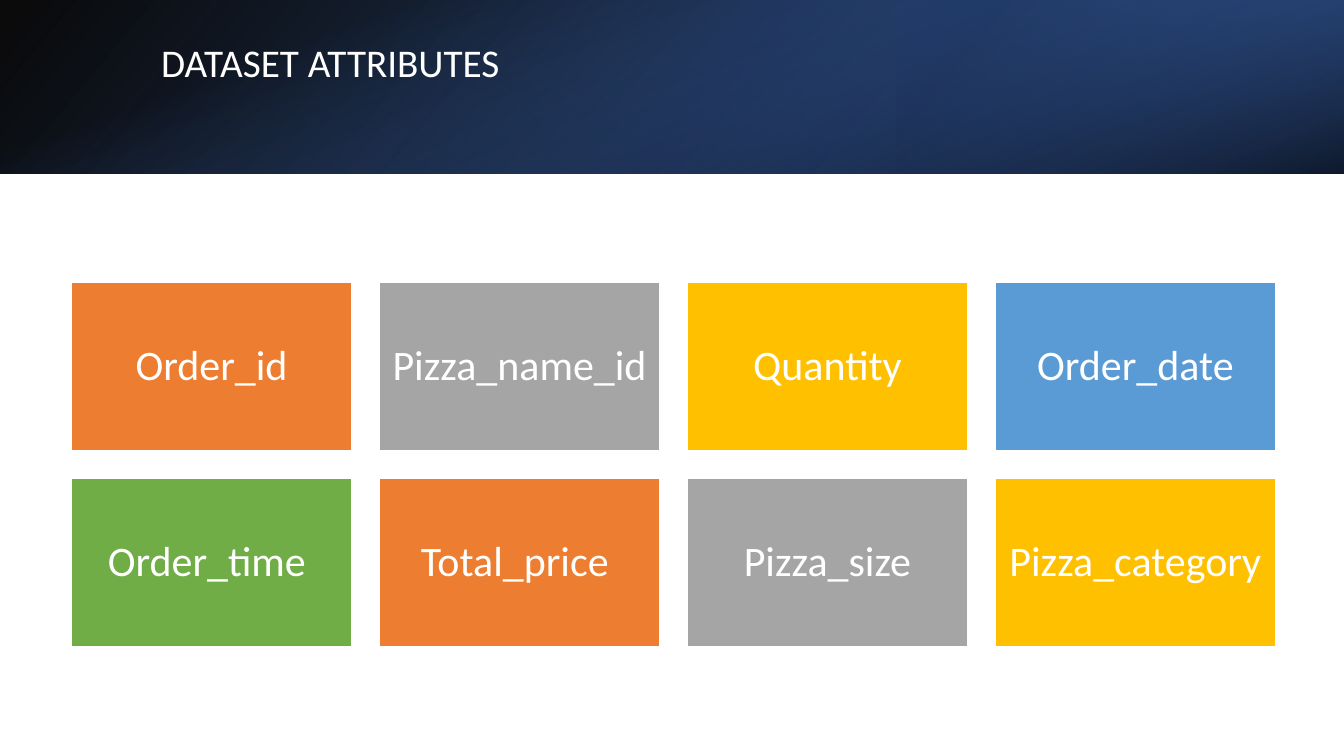
"""Build the dataset attributes slide: a gradient header over a grid of tiles."""
from lxml.etree import SubElement
from pptx import Presentation
from pptx.dml.color import RGBColor
from pptx.enum.shapes import MSO_SHAPE as Shape
from pptx.enum.text import MSO_ANCHOR as Anchor, PP_ALIGN as Align
from pptx.oxml.ns import qn
from pptx.util import Cm, Pt

WHITE = RGBColor(0xFF, 0xFF, 0xFF)
BLACK = RGBColor(0x00, 0x00, 0x00)
NAVY = RGBColor(0x20, 0x38, 0x64)
DEEP = RGBColor(0x2F, 0x55, 0x97)
BLUE = RGBColor(0x44, 0x72, 0xC4)
ORANGE = RGBColor(0xED, 0x7D, 0x31)
GRAY = RGBColor(0xA5, 0xA5, 0xA5)
GOLD = RGBColor(0xFF, 0xC0, 0x00)
SKY = RGBColor(0x5B, 0x9B, 0xD5)
GREEN = RGBColor(0x70, 0xAD, 0x47)

TITLE = "DATASET ATTRIBUTES"
FIELDS = ["Order_id", "Pizza_name_id", "Quantity", "Order_date",
          "Order_time ", "Total_price ", "Pizza_size", "Pizza_category"]
HUES = [ORANGE, GRAY, GOLD, SKY, GREEN]

WIDE, HIGH, HEAD = 33.87, 19.05, 4.38
HALF = 11.28
MID = (WIDE - HEAD) / 2
# Each layer: box, turn, flip, angle, stops as (place, colour, opacity).
LAYERS = [
    ((0, 0, WIDE, HEAD), 0, True, 220, [(0, BLACK, 96), (1, DEEP, 100)]),
    ((WIDE - HALF, 0, HALF, HEAD), 180, True, 40,
     [(0.19, NAVY, 68), (1, BLUE, 79)]),
    ((MID, -MID, HEAD, WIDE), 90, False, 20,
     [(0.23, BLUE, 0), (0.99, BLACK, 74)]),
]
LAYERS[0][4][1] = (1, DEEP, 100)

COLS = 4
LEFT, TOP = 1.81, 7.12
TILE_W, TILE_H = 7.05, 4.23
STEP_X, STEP_Y = 7.76, 4.94


def write(shape, text, size, align=Align.LEFT, anchor=Anchor.TOP, inset=None):
    frame = shape.text_frame
    frame.word_wrap = True
    frame.vertical_anchor = anchor
    if inset is not None:
        frame.margin_left = frame.margin_right = Cm(inset)
        frame.margin_top = frame.margin_bottom = Cm(inset)
    para = frame.paragraphs[0]
    para.alignment = align
    para.line_spacing = 0.9
    run = para.add_run()
    run.text = text
    run.font.name = "Calibri"
    run.font.size = Pt(size)
    run.font.color.rgb = WHITE


def add_rect(slide, box):
    rect = slide.shapes.add_shape(Shape.RECTANGLE, *map(Cm, box))
    rect.shadow.inherit = False
    return rect


def add_layer(slide, box, turn, flip, angle, stops):
    rect = add_rect(slide, box)
    rect.line.fill.background()
    rect.rotation = turn
    if flip:
        rect._element.spPr.find(qn("a:xfrm")).set("flipH", "1")
    rect.fill.gradient()
    rect.fill.gradient_angle = angle
    for stop, (place, hue, _) in zip(rect.fill.gradient_stops, stops):
        stop.position = place
        stop.color.rgb = hue
    tints = rect._element.spPr.iter(qn("a:srgbClr"))
    for tint, (_, _, alpha) in zip(list(tints), stops):
        SubElement(tint, qn("a:alpha")).set("val", str(alpha * 1000))


def add_tile(slide, spot, text):
    row, col = divmod(spot, COLS)
    box = (LEFT + col * STEP_X, TOP + row * STEP_Y, TILE_W, TILE_H)
    tile = add_rect(slide, box)
    tile.fill.solid()
    tile.fill.fore_color.rgb = HUES[spot % len(HUES)]
    tile.line.color.rgb = WHITE
    tile.line.width = Pt(1)
    write(tile, text, 30, align=Align.CENTER, anchor=Anchor.MIDDLE, inset=0.3)


def main():
    deck = Presentation()
    deck.slide_width, deck.slide_height = Cm(WIDE), Cm(HIGH)
    slide = deck.slides.add_slide(deck.slide_layouts[6])
    for layer in LAYERS:
        add_layer(slide, *layer)
    title = slide.shapes.add_textbox(Cm(3.81), Cm(0.97), Cm(27.89), Cm(2.44))
    write(title, TITLE, 28)
    for spot, text in enumerate(FIELDS):
        add_tile(slide, spot, text)
    deck.save("out.pptx")


if __name__ == "__main__":
    main()
